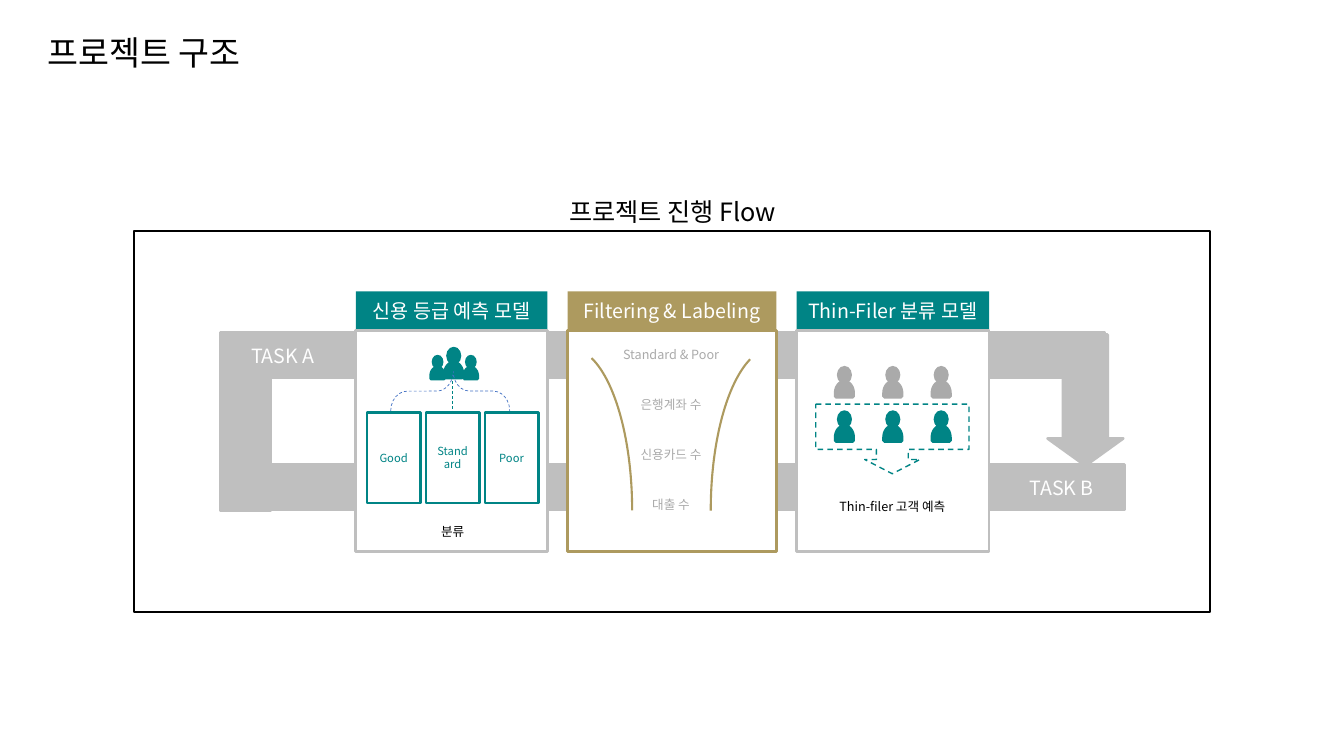
import math

import lxml.etree
import pptx
import pptx.dml.color
import pptx.enum.dml
import pptx.enum.shapes
import pptx.enum.text
import pptx.oxml.ns
import pptx.util

Inches = pptx.util.Inches
RGBColor = pptx.dml.color.RGBColor
SHAPE = pptx.enum.shapes.MSO_SHAPE
ALIGN = pptx.enum.text.PP_ALIGN
ANCHOR = pptx.enum.text.MSO_ANCHOR
qn = pptx.oxml.ns.qn

BLACK = RGBColor(0x00, 0x00, 0x00)
WHITE = RGBColor(0xFF, 0xFF, 0xFF)
BAND_GRAY = RGBColor(0xBF, 0xBF, 0xBF)
ICON_GRAY = RGBColor(0xAA, 0xAA, 0xAA)
TEAL = RGBColor(0x00, 0x84, 0x85)
GOLD = RGBColor(0xAD, 0x9A, 0x5F)
BLUE = RGBColor(0x44, 0x72, 0xC4)
FONT = "Noto Sans CJK KR"
TIGHT = (0.04, 0.04, 0.04, 0.04)
NORMAL = (0.1, 0.05, 0.1, 0.05)


def write_text(shape, text, size, color, align=ALIGN.CENTER, anchor=ANCHOR.TOP, insets=TIGHT):
    frame = shape.text_frame
    frame.text = text
    frame.word_wrap = True
    frame.auto_size = pptx.enum.text.MSO_AUTO_SIZE.NONE
    frame.vertical_anchor = anchor
    left, top, right, bottom = (Inches(inset) for inset in insets)
    frame.margin_left, frame.margin_top = left, top
    frame.margin_right, frame.margin_bottom = right, bottom
    paragraph = frame.paragraphs[0]
    paragraph.alignment = align
    paragraph.font.size = pptx.util.Pt(size)
    paragraph.font.name = FONT
    paragraph.font.color.rgb = color
    properties = paragraph._p.pPr.find(qn("a:defRPr"))
    lxml.etree.SubElement(properties, qn("a:ea")).set("typeface", FONT)
    return paragraph


def style_line(line, color, width, dashed=False):
    line.color.rgb = color
    line.width = pptx.util.Pt(width)
    if dashed:
        line.dash_style = pptx.enum.dml.MSO_LINE.DASH


def style_shape(shape, fill=None, line=None, width=2, dashed=False):
    shape.shadow.inherit = False
    if fill is None:
        shape.fill.background()
    else:
        shape.fill.solid()
        shape.fill.fore_color.rgb = fill
    if line is None:
        shape.line.fill.background()
    else:
        style_line(shape.line, line, width, dashed)


def add_shape(slide, kind, box, adjustments=(), **style):
    shape = slide.shapes.add_shape(kind, *(Inches(length) for length in box))
    for index, value in enumerate(adjustments):
        shape.adjustments[index] = value
    style_shape(shape, **style)
    return shape


def add_label(slide, box, text, size, color, insets=TIGHT):
    label = slide.shapes.add_textbox(*(Inches(length) for length in box))
    write_text(label, text, size, color, insets=insets)


def add_band(slide, box, text, align, insets):
    band = add_shape(slide, SHAPE.RECTANGLE, box, fill=BAND_GRAY, line=BAND_GRAY)
    write_text(band, text, 14, WHITE, align, ANCHOR.MIDDLE, insets)


def add_panel(slide, left, width, heading, heading_color, border):
    header = add_shape(slide, SHAPE.RECTANGLE, (left, 2.89, width, 0.39), fill=heading_color)
    write_text(header, heading, 14, WHITE, anchor=ANCHOR.MIDDLE)
    add_shape(slide, SHAPE.RECTANGLE, (left, 3.28, width, 2.19), fill=WHITE, line=border)


def add_person(slide, center, top, color, scale=1.0):
    """Draw an oval head over a dome-shaped body."""
    half, bottom = 0.105 * scale, top + 0.325 * scale
    shoulder, corner = top + 0.27 * scale, 0.02 * scale
    steps = 24
    outline = [
        (center - half * math.cos(math.pi * step / steps),
         shoulder - 0.13 * scale * math.sin(math.pi * step / steps))
        for step in range(steps + 1)
    ]
    outline += [
        (center + half, bottom - corner), (center + half - corner, bottom),
        (center - half + corner, bottom), (center - half, bottom - corner),
    ]
    points = [(Inches(x), Inches(y)) for x, y in outline]
    builder = slide.shapes.build_freeform(*points[0])
    builder.add_line_segments(points[1:], close=True)
    style_shape(builder.convert_to_shape(), fill=color)
    head = (center - 0.075 * scale, top, 0.15 * scale, 0.18 * scale)
    add_shape(slide, SHAPE.OVAL, head, fill=color)


def add_dashed_line(slide, start, end):
    ends = (Inches(length) for length in start + end)
    connector = slide.shapes.add_connector(pptx.enum.shapes.MSO_CONNECTOR.STRAIGHT, *ends)
    style_line(connector.line, TEAL, 0.5, dashed=True)
    lxml.etree.SubElement(connector._element.spPr, qn("a:effectLst"))


def add_title(slide):
    title = slide.shapes.title
    title.left, title.top = Inches(0.37), Inches(0.31)
    title.width, title.height = Inches(8.81), Inches(0.79)
    paragraph = write_text(title, "프로젝트 구조", 24, BLACK, ALIGN.LEFT, insets=NORMAL)
    paragraph.line_spacing = 0.9


def add_flow(slide):
    add_label(slide, (2.26, 1.91, 8.82, 0.37), "프로젝트 진행 Flow", 18, BLACK)
    add_shape(slide, SHAPE.RECTANGLE, (1.33, 2.29, 10.67, 3.78), line=BLACK, width=1)
    add_shape(slide, SHAPE.RECTANGLE, (2.19, 3.4, 0.49, 1.67), fill=BAND_GRAY, line=BAND_GRAY)
    add_shape(slide, SHAPE.DOWN_ARROW, (10.39, 3.32, 0.75, 1.3), (0.59, 0.36),
              fill=BAND_GRAY, line=BAND_GRAY)
    add_band(slide, (2.19, 3.3, 8.77, 0.45), "TASK A", ALIGN.LEFT, (0.3, 0.04, 0.04, 0.04))
    add_band(slide, (2.36, 4.61, 8.79, 0.45), "TASK B", ALIGN.RIGHT, (0.04, 0.04, 0.3, 0.04))
    add_panel(slide, 3.53, 1.9, "신용 등급 예측 모델", TEAL, BAND_GRAY)
    add_panel(slide, 5.63, 2.07, "Filtering & Labeling", GOLD, GOLD)
    add_panel(slide, 7.9, 1.91, "Thin-Filer 분류 모델", TEAL, BAND_GRAY)


def add_credit_grades(slide):
    for center in (4.34, 4.67):
        add_person(slide, center, 3.52, TEAL, scale=0.78)
    add_person(slide, 4.5, 3.44, TEAL)
    for index, grade in enumerate(("Good", "Standard", "Poor")):
        box = (3.64 + 0.585 * index, 4.09, 0.53, 0.9)
        card = add_shape(slide, SHAPE.RECTANGLE, box, fill=WHITE, line=TEAL)
        write_text(card, grade, 8, TEAL, anchor=ANCHOR.MIDDLE, insets=NORMAL)
    brace = add_shape(slide, SHAPE.LEFT_BRACE, (4.27, 3.29, 0.39, 1.18), (0.42, 0.475),
                      line=BLUE, width=0.5, dashed=True)
    brace.rotation = 90
    add_dashed_line(slide, (4.49, 3.68), (4.49, 4.09))
    add_label(slide, (3.78, 5.15, 1.42, 0.25), "분류", 9, BLACK, NORMAL)


def add_filter_funnel(slide):
    filters = ("Standard & Poor", "은행계좌 수", "신용카드 수", "대출 수")
    for index, name in enumerate(filters):
        add_label(slide, (6.05, 3.4 + 0.495 * index, 1.21, 0.23), name, 9, ICON_GRAY)
    for left, start, mirrored in ((5.03, 166.92, False), (7.05, 167.22, True)):
        side = add_shape(slide, SHAPE.ARC, (left, 3.45, 1.24, 3.23), (start, 0),
                         line=GOLD, width=1.5)
        if mirrored:
            side._element.spPr.xfrm.set("flipH", "1")


def add_thin_filers(slide):
    for top, color in ((3.63, ICON_GRAY), (4.07, TEAL)):
        for column in range(3):
            add_person(slide, 8.375 + 0.48 * column, top, color)
    add_shape(slide, SHAPE.DOWN_ARROW_CALLOUT, (8.09, 4.01, 1.52, 0.69),
              (0.458, 0.397, 0.205, 0.65), line=TEAL, width=1, dashed=True)
    add_label(slide, (8.14, 4.9, 1.42, 0.25), "Thin-filer 고객 예측", 9, BLACK, NORMAL)


def main():
    presentation = pptx.Presentation()
    presentation.slide_width = Inches(13.33)
    presentation.slide_height = Inches(7.5)
    slide = presentation.slides.add_slide(presentation.slide_layouts.get_by_name("Title Only"))
    add_title(slide)
    add_flow(slide)
    add_credit_grades(slide)
    add_filter_funnel(slide)
    add_thin_filers(slide)
    presentation.save("out.pptx")


if __name__ == "__main__":
    main()
